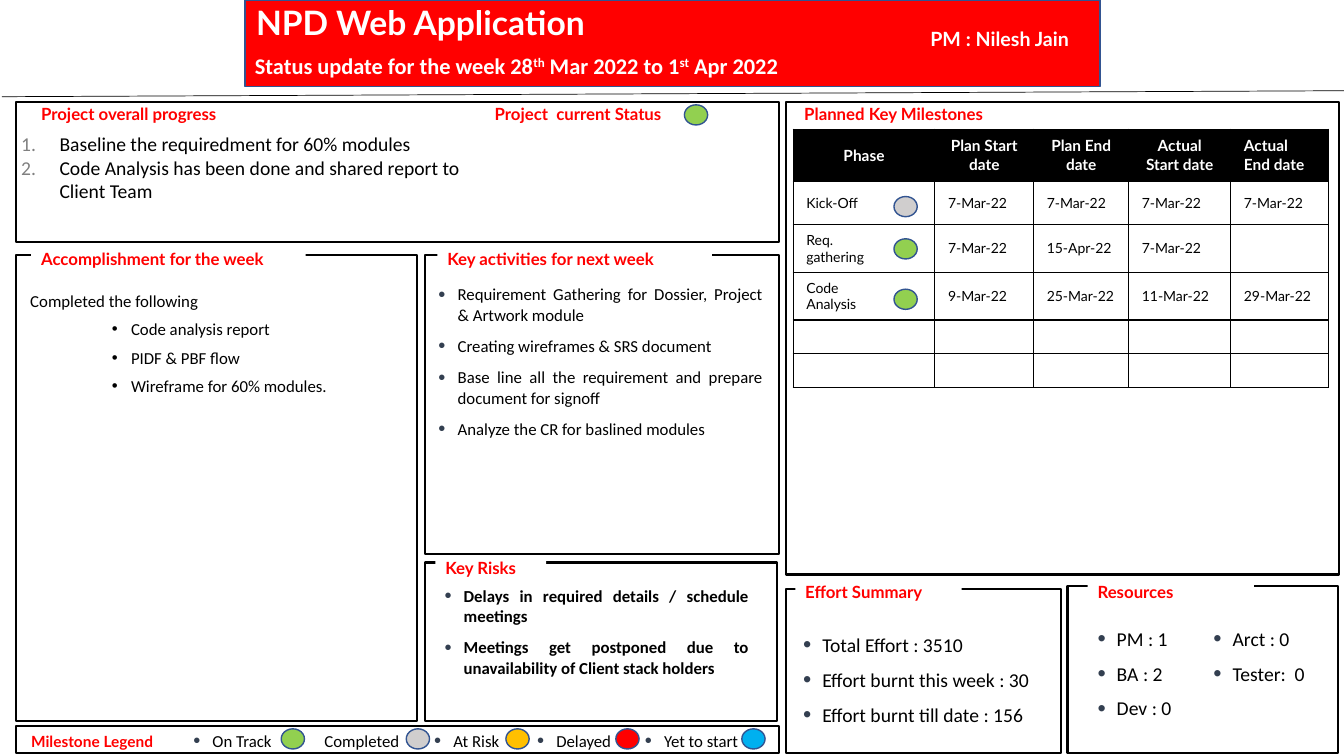
"""Build the weekly project status slide."""
from lxml import etree
from pptx import Presentation, util as u
from pptx.dml import color
from pptx.enum import shapes, text
from pptx.oxml import ns

Pt = u.Pt
THEME = dict(
    red="FF0000", black="000000", white="FFFFFF", edge="325491", mark="333F50", num="808080",
    green="92D050", grey="D0CECE", amber="FFC000", blue="00B0F0",
    head="Lato", body="Calibri",
    title=24, sub=16, big=14, mid=12, small=11, cell=10)

TITLE = "NPD Web Application"
WEEK = [("Status update for the week 28", 0), ("th", 1), (" Mar 2022 to 1", 0),
        ("st", 1), (" Apr 2022", 0)]
LEAD = "PM : Nilesh Jain"
PANELS = [
    (11.5, 72.7, 545, 100), (11.5, 182.2, 286.5, 332.6), (303.8, 182.2, 252.7, 213.8),
    (303.8, 401.8, 251.3, 113), (11.5, 518.4, 545, 19.4), (561.6, 72.7, 394.6, 337.7),
    (561.6, 420.5, 196.6, 117.4), (762.5, 418.3, 193, 119.5)]
LABELS = [
    ("Project overall progress", 22.3, 74.2, 196, "mid"),
    ("Project  current Status", 346.3, 74.2, 145.4, "mid"),
    ("Planned Key Milestones", 567.4, 74.2, 177.8, "mid"),
    ("Accomplishment for the week", 22.3, 177.8, 196, "mid"),
    ("Key activities for next week", 312.5, 177.8, 196, "mid"),
    ("Key Risks", 311, 398.2, 79.2, "mid"),
    ("Effort Summary", 568.1, 415.4, 118.8, "mid"),
    ("Resources", 776.9, 415.4, 118.8, "mid"),
    ("Milestone Legend", 15.1, 522.7, 110.9, "small")]
LISTS = [
    dict(box=(7.9, 90.7, 347.8, 94.3), kind="num", size="big", top=3.6, gap=(0, 0), lines=[
        "Baseline the requiredment for 60% modules",
        "Code Analysis has been done and shared report to Client Team"]),
    dict(box=(14.4, 207.4, 278.6, 97.2), kind="sub", gap=(6, 0), lines=[
        "Completed the following", "Code analysis report", "PIDF & PBF flow",
        "Wireframe for 60% modules."]),
    dict(box=(306, 203, 246.2, 111.6), lines=[
        "Requirement Gathering for Dossier, Project & Artwork module",
        "Creating wireframes & SRS document",
        "Base line all the requirement and prepare document for signoff",
        "Analyze the CR for baslined modules"]),
    dict(box=(310.3, 418.3, 231.8, 88.6), bold=True, lines=[
        "Delays in required details / schedule meetings",
        "Meetings get postponed due to unavailability of Client stack holders"]),
    dict(box=(566.6, 452.2, 185, 67), size="big", lines=[
        "Total Effort : 3510", "Effort burnt this week : 30", "Effort burnt till date : 156"]),
    dict(box=(776.9, 447.8, 82.8, 67), size="big", lines=["PM : 1", "BA : 2", "Dev : 0"]),
    dict(box=(859.7, 447.8, 86.4, 41.8), size="big", lines=["Arct : 0", "Tester:  0"])]
LEGEND = [
    ("On Track", 131, 200.9, "green", "dot"), ("Completed", 211, 290.2, "grey", "none"),
    ("At Risk", 303.1, 361.4, "amber", "dot"), ("Delayed", 376.6, 439.9, "red", "dot"),
    ("Yet to start", 453.6, 529.9, "blue", "dot")]
DOTS = [(488.9, 74.9, "green"), (638.6, 140.4, "grey"), (638.6, 170.6, "green"),
        (638.6, 206.6, "green")]
HEADS = ["Phase", "Plan Start date", "Plan End date", "Actual\nStart date", "Actual\nEnd date"]
ROWS = [
    ["Kick-Off"] + ["7-Mar-22"] * 4,
    ["Req.\ngathering", "7-Mar-22", "15-Apr-22", "7-Mar-22", ""],
    ["Code\nAnalysis", "9-Mar-22", "25-Mar-22", "11-Mar-22", "29-Mar-22"],
    [""] * 5, [""] * 5]
COLS = [101.2, 70.6, 67.9, 72.9, 69.8]
HIGHS = [37.4, 31, 34, 34, 24, 24]


def rgb(name):
    return color.RGBColor.from_string(THEME[name])


def sub(node, tag, **attrs):
    return etree.SubElement(node, ns.qn("a:" + tag), **attrs)


def style(part, size, ink="black", face="body", bold=False):
    for run in part.runs:
        font = run.font
        font.size, font.name, font.bold = Pt(THEME[size]), THEME[face], bold
        font.color.rgb = rgb(ink)


def place(item, box):
    item.left, item.top, item.width, item.height = map(Pt, box)


def frame(item, top=0, wrap=True):
    area = item.text_frame
    area.auto_size, area.word_wrap = text.MSO_AUTO_SIZE.NONE, wrap
    area.vertical_anchor = text.MSO_ANCHOR.TOP
    area.margin_left = area.margin_right = Pt(7.2)
    area.margin_top = area.margin_bottom = Pt(top)
    return area


def form(slide, kind, box, fill, line=None, wide=1):
    item = slide.shapes.add_shape(kind, *map(Pt, box))
    item.shadow.inherit = False
    item.fill.solid()
    item.fill.fore_color.rgb = rgb(fill)
    if line:
        item.line.color.rgb, item.line.width = rgb(line), Pt(wide)
    else:
        item.line.fill.background()
    return item


def dot(slide, x, y, fill):
    form(slide, shapes.MSO_SHAPE.OVAL, (x, y, 16.6, 14.4), fill, "edge")


def bullet(para, kind):
    left, hang = {"num": (27.4, 27.4), "dot": (13.7, 13.7), "sub": (72, 13.7),
                  "none": (13.7, 0)}.get(kind, (0, 0))
    props = para._p.get_or_add_pPr()
    props.set("marL", str(Pt(left)))
    props.set("indent", str(-Pt(hang)))
    if kind in ("none", "plain"):
        sub(props, "buNone")
        return
    tint = {"num": "num", "dot": "mark", "sub": "black"}[kind]
    sub(sub(props, "buClr"), "srgbClr", val=THEME[tint])
    sub(props, "buSzPct", val="120000" if kind == "dot" else "100000")
    if kind == "num":
        sub(props, "buFont", typeface="+mj-lt")
        sub(props, "buAutoNum", type="arabicPeriod")
    else:
        sub(props, "buFont", typeface="Arial")
        sub(props, "buChar", char="•")


def fill_list(item, lines, box, kind="dot", size="mid", top=0, gap=(6, 2), bold=False):
    place(item, box)
    area = frame(item, top)
    area.text = "\n".join(lines)
    for i, para in enumerate(area.paragraphs):
        para.alignment = text.PP_ALIGN.LEFT if kind == "num" else text.PP_ALIGN.JUSTIFY
        para.space_before, para.space_after = map(Pt, gap)
        bullet(para, "plain" if kind == "sub" and i == 0 else kind)
        style(para, size, bold=bold)


def note(slide, words, box, size, ink, face="head", top=0, wrap=True):
    item = slide.shapes.add_textbox(*map(Pt, box))
    area = frame(item, top, wrap)
    area.text = words
    style(area.paragraphs[0], size, ink, face, True)
    return item


def fill_cell(cell, words, row, col):
    cell.margin_left = cell.margin_right = Pt(9.4)
    cell.margin_top = cell.margin_bottom = Pt(5)
    cell.vertical_anchor = text.MSO_ANCHOR.MIDDLE
    cell.text_frame.text = words
    for para in cell.text_frame.paragraphs:
        if row == 0:
            para.alignment = text.PP_ALIGN.CENTER if col < 4 else text.PP_ALIGN.LEFT
            style(para, "small", "white", "head", True)
        else:
            style(para, "cell", face="head")
        if not words:
            sub(para._p, "endParaRPr", sz=str(THEME["cell"] * 100))
    props = cell._tc.get_or_add_tcPr()
    for side in "LRTB":
        edge = sub(props, "ln" + side, w=str(Pt(1)))
        sub(sub(edge, "solidFill"), "srgbClr", val=THEME["black"])
    cell.fill.solid()
    cell.fill.fore_color.rgb = rgb("white" if row else "black")


def grid(slide):
    table = slide.shapes.add_table(
        len(HIGHS), len(COLS), *map(Pt, (566.6, 92.2, sum(COLS), sum(HIGHS)))).table
    table.first_row = table.horz_banding = False
    for col, wide in zip(table.columns, COLS):
        col.width = Pt(wide)
    for r, cells in enumerate([HEADS] + ROWS):
        table.rows[r].height = Pt(HIGHS[r])
        for c, words in enumerate(cells):
            fill_cell(table.cell(r, c), words, r, c)


def banner(slide):
    form(slide, shapes.MSO_SHAPE.RECTANGLE, (175, 0, 610.6, 61.9), "red", "edge")
    title = slide.shapes.title
    place(title, (175.7, -2.2, 289.4, 36))
    area = frame(title, 3.6)
    area.text = TITLE
    area.paragraphs[0].alignment = text.PP_ALIGN.LEFT
    style(area.paragraphs[0], "title", "white", "head", True)
    slide.shapes._spTree.append(title._element)
    week = note(slide, "", (175, 33.8, 390.2, 26.6), "sub", "white", top=3.6, wrap=False)
    para = week.text_frame.paragraphs[0]
    for words, high in WEEK:
        run = para.add_run()
        run.text = words
        if high:
            run.font._element.set("baseline", "30000")
    style(para, "sub", "white", bold=True)
    note(slide, LEAD, (657.4, 19.4, 121, 17.3), "big", "white")
    rule = slide.shapes.add_connector(
        shapes.MSO_CONNECTOR.STRAIGHT, *map(Pt, (1.4, 69.1, 960, 64.8)))
    rule.line.color.rgb, rule.line.width = rgb("black"), Pt(0.5)
    sub(rule._element.spPr, "effectLst")


def main():
    deck = Presentation()
    deck.slide_width, deck.slide_height = Pt(960), Pt(540)
    slide = deck.slides.add_slide(deck.slide_layouts[4])
    slots = [p for p in slide.placeholders if 1 <= p.placeholder_format.idx <= 4]
    banner(slide)
    for box in PANELS:
        form(slide, shapes.MSO_SHAPE.RECTANGLE, box, "white", "black", 1.5)
    for words, x, y, wide, size in LABELS:
        tag = note(slide, words, (x, y, wide, 14.4), size, "red")
        tag.fill.solid()
        tag.fill.fore_color.rgb = rgb("white")
    grid(slide)
    for entry in LISTS:
        item = slots.pop(0) if slots else slide.shapes.add_textbox(0, 0, 0, 0)
        slide.shapes._spTree.append(item._element)
        fill_list(item, **entry)
    for words, x, spot, tint, kind in LEGEND:
        item = slide.shapes.add_textbox(0, 0, 0, 0)
        fill_list(item, [words], (x, 522, 100, 14.4), kind)
        dot(slide, spot, 520.6, tint)
    for spot in DOTS:
        dot(slide, *spot)
    deck.save("out.pptx")


if __name__ == "__main__":
    main()
